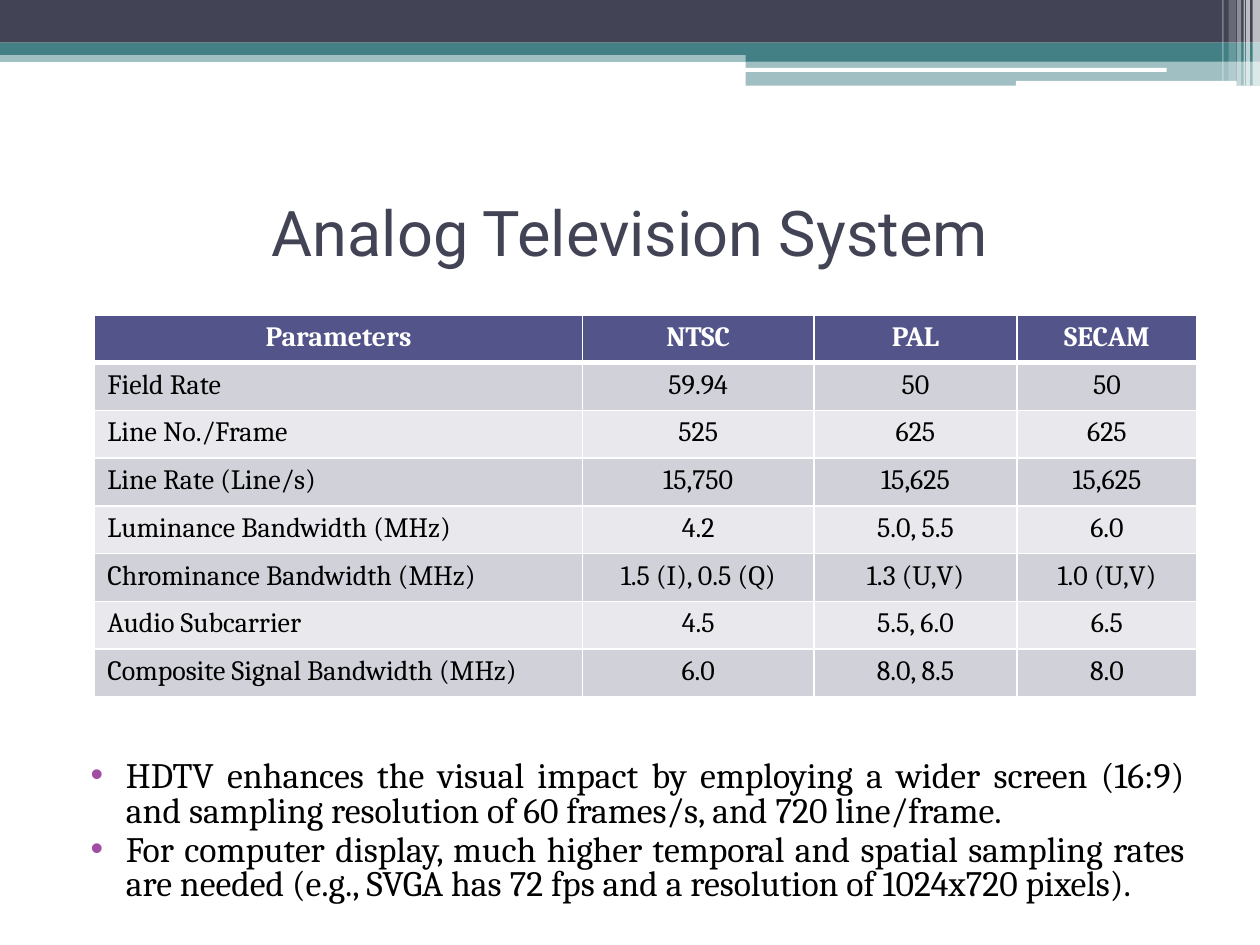
from lxml import etree
from pptx import Presentation
from pptx import util as u
from pptx.dml.color import RGBColor
from pptx.enum import shapes, text
from pptx.oxml.ns import qn

DARK, TEAL, WHITE, BLACK = "424456", "438086", "FFFFFF", "000000"
HEADER, BANDS, BULLET = "53548A", ("D1D1DA", "E9E9ED"), "A04DA3"
RECT = shapes.MSO_SHAPE.RECTANGLE
ROUND = shapes.MSO_SHAPE.ROUNDED_RECTANGLE
CENTER, LEFT = text.PP_ALIGN.CENTER, text.PP_ALIGN.LEFT


def rgb(color):
    return RGBColor.from_string(color)


def box(*lengths):
    return [u.Cm(v) for v in lengths]


class Deck:
    """Holds the text style and the current slide."""

    font = "Cambria"
    title_font = "Roboto"

    def __init__(self, prs):
        self.s = prs.slides.add_slide(prs.slide_layouts[5])

    def style(self, p, size, color, align, bold=False, font=None):
        p.alignment = align
        for r in p.runs:
            r.font.name = font or self.font
            r.font.size = u.Pt(size)
            r.font.bold = bold
            r.font.color.rgb = rgb(color)

    def title(self, words, at):
        sp = self.s.shapes.title
        sp.left, sp.top, sp.width, sp.height = box(*at)
        tf = sp.text_frame
        tf.text = words
        tf.vertical_anchor = text.MSO_ANCHOR.MIDDLE
        self.style(tf.paragraphs[0], 36, DARK, CENTER, font=self.title_font)

    def bar(self, at, color, opacity=100, kind=RECT):
        sp = self.s.shapes.add_shape(kind, *box(*at))
        sp.shadow.inherit = False
        sp.fill.solid()
        sp.fill.fore_color.rgb = rgb(color)
        sp.line.fill.background()
        if opacity < 100:
            clr = sp.fill._xPr.find(".//" + qn("a:srgbClr"))
            etree.SubElement(clr, qn("a:alpha"), val=str(opacity * 1000))

    def borders(self, cell, bottom):
        tcPr = cell._tc.get_or_add_tcPr()
        sides = (("a:lnL", 1), ("a:lnR", 1), ("a:lnT", 1), ("a:lnB", bottom))
        for side, width in sides:
            ln = etree.SubElement(tcPr, qn(side), w=str(u.Pt(width)))
            fill = etree.SubElement(ln, qn("a:solidFill"))
            etree.SubElement(fill, qn("a:srgbClr"), val=WHITE)

    def table(self, rows, at, widths):
        frame = self.s.shapes.add_table(len(rows), len(widths), *box(*at))
        tbl = frame.table
        for col, width in zip(tbl.columns, widths):
            col.width = u.Cm(width)
        for i, row in enumerate(rows):
            head = i == 0
            for j, words in enumerate(row):
                cell = tbl.cell(i, j)
                cell.text = words
                self.borders(cell, 3 if head else 1)
                cell.fill.solid()
                cell.fill.fore_color.rgb = rgb(HEADER if head else BANDS[(i - 1) % 2])
                self.style(cell.text_frame.paragraphs[0], 16, WHITE if head else BLACK,
                           CENTER if head or j else LEFT, bold=head)

    def bullets(self, items, at):
        tf = self.s.shapes.add_textbox(*box(*at)).text_frame
        tf.word_wrap = True
        tf.vertical_anchor = text.MSO_ANCHOR.BOTTOM
        tf.margin_bottom = u.Cm(0.4)
        tf.text = "\n".join(items)
        for p in tf.paragraphs:
            self.style(p, 20.4, BLACK, text.PP_ALIGN.JUSTIFY)
            p.line_spacing = 0.8
            p.space_before = u.Pt(3)
            pPr = p._p.get_or_add_pPr()
            pPr.set("marL", str(u.Cm(1.02)))
            pPr.set("indent", str(u.Cm(-0.71)))
            clr = etree.SubElement(pPr, qn("a:buClr"))
            etree.SubElement(clr, qn("a:srgbClr"), val=BULLET)
            etree.SubElement(pPr, qn("a:buFont"), typeface="Arial")
            etree.SubElement(pPr, qn("a:buChar"), char="•")


def main():
    prs = Presentation()
    prs.slide_width, prs.slide_height = box(25.4, 19.05)
    deck = Deck(prs)

    # Header bands
    deck.bar((0, 1.02, 25.4, 0.23), TEAL, 50)
    deck.bar((0, 0, 25.4, 0.86), DARK)
    deck.bar((0, 0.86, 25.4, 0.25), TEAL)
    deck.bar((15.03, 0.99, 10.37, 0.25), TEAL)
    deck.bar((15.03, 1.23, 10.37, 0.5), TEAL, 50)
    deck.bar((15.01, 1.37, 8.51, 0.08), WHITE, kind=ROUND)
    deck.bar((20.48, 1.63, 4.45, 0.1), WHITE, kind=ROUND)

    # Vertical stripes at the right edge: left, width, height, opacity
    for x, w, h, opacity in ((25.25, 0.15, 1.73, 65), (25.12, 0.08, 1.73, 65),
                             (25.07, 0.03, 1.73, 60), (24.94, 0.08, 1.73, 40),
                             (24.77, 0.15, 1.63, 20), (24.64, 0.03, 1.63, 30)):
        deck.bar((x, 0, w, h), WHITE, opacity)

    deck.title("Analog Television System", (1.27, 3.18, 22.86, 2.97))

    # Comparison of the three systems
    deck.table([
        ("Parameters", "NTSC", "PAL", "SECAM"),
        ("Field Rate", "59.94", "50", "50"),
        ("Line No./Frame", "525", "625", "625"),
        ("Line Rate (Line/s)", "15,750", "15,625", "15,625"),
        ("Luminance Bandwidth (MHz)", "4.2", "5.0, 5.5", "6.0"),
        ("Chrominance Bandwidth (MHz)", "1.5 (I), 0.5 (Q)", "1.3 (U,V)", "1.0 (U,V)"),
        ("Audio Subcarrier", "4.5", "5.5, 6.0", "6.5"),
        ("Composite Signal Bandwidth (MHz)", "6.0", "8.0, 8.5", "8.0"),
    ], (1.91, 6.35, 22.22, 7.7), (9.83, 4.67, 4.09, 3.63))

    # Remarks below the table
    deck.bullets([
        "HDTV enhances the visual impact by employing a wider screen (16:9) "
        "and sampling resolution of 60 frames/s, and 720 line/frame.",
        "For computer display, much higher temporal and spatial sampling rates "
        "are needed (e.g., SVGA has 72 fps and a resolution of 1024x720 pixels).",
    ], (1.27, 6.25, 22.86, 12.37))

    prs.save("out.pptx")


if __name__ == "__main__":
    main()
